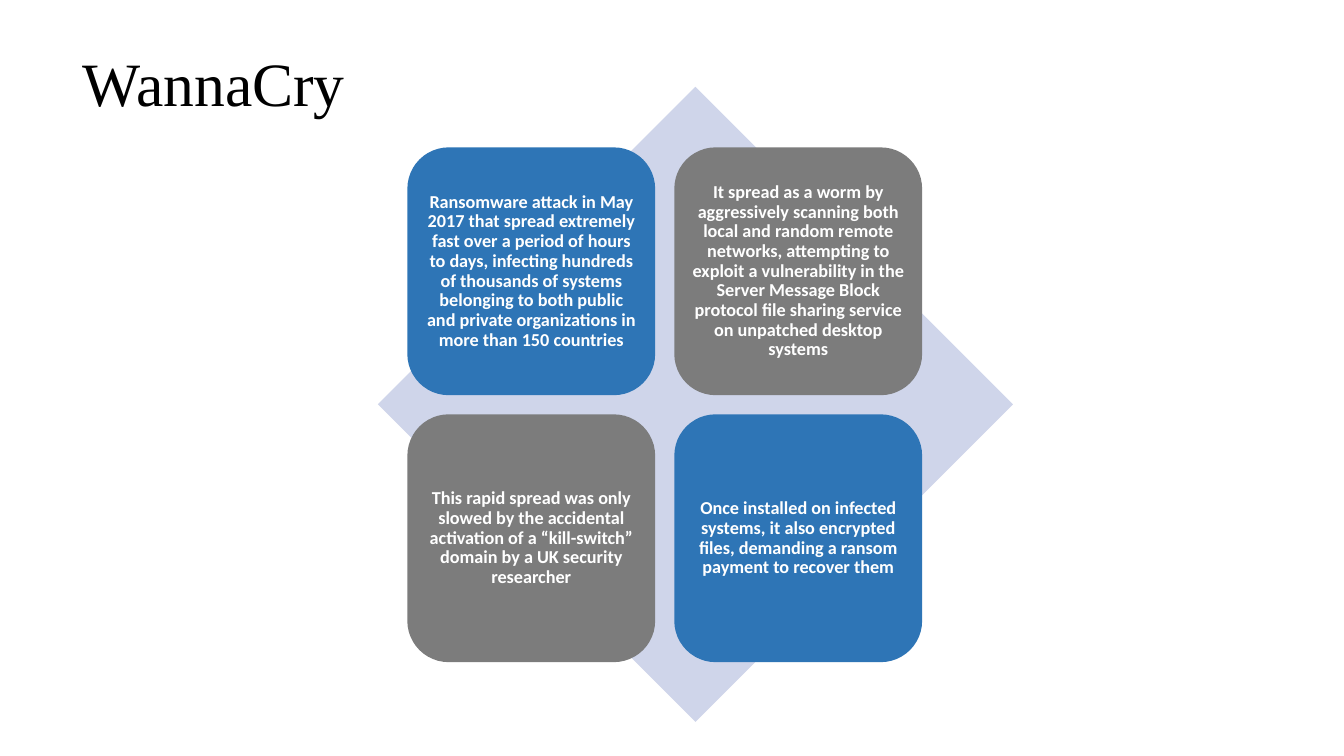
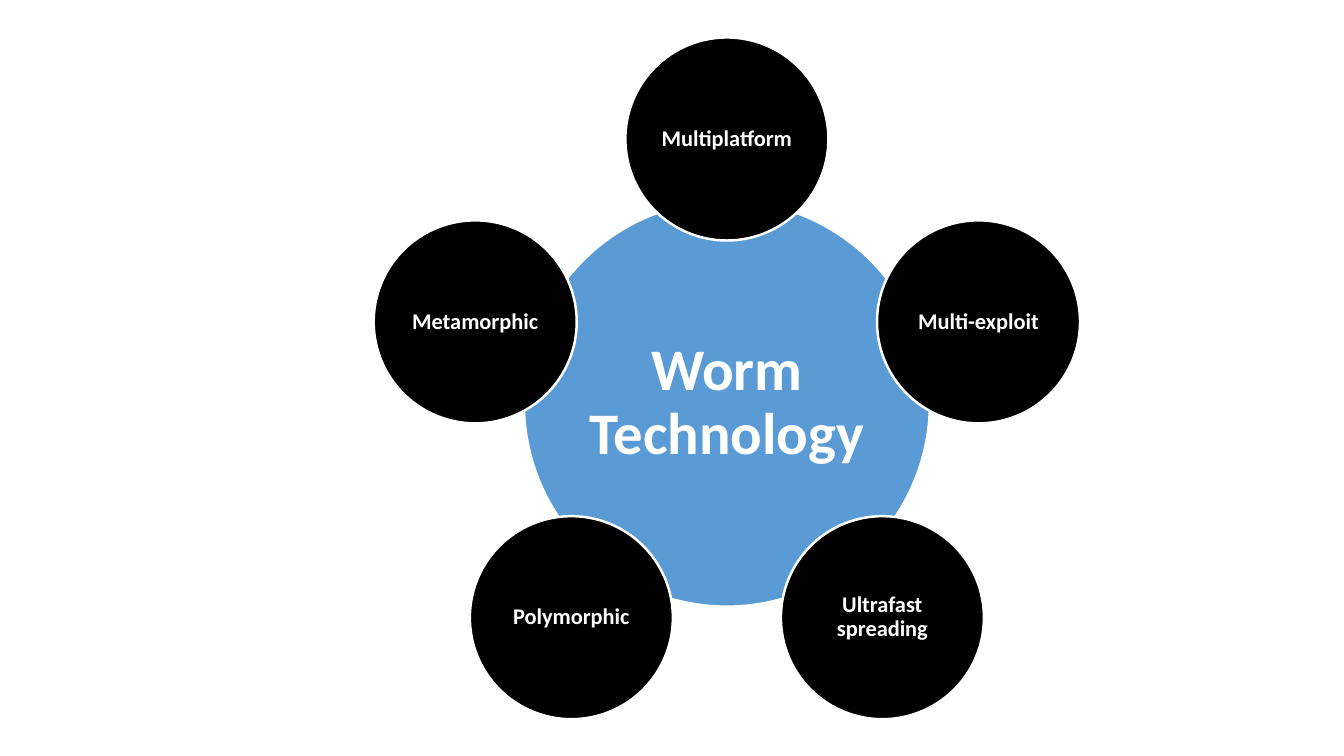
"""Build two slides: a four-tile matrix on a diamond and a hub with five satellites."""
import math

from pptx import Presentation
from pptx.dml.color import RGBColor
from pptx.enum import shapes, text
from pptx.util import Pt

WHITE = RGBColor(0xFF, 0xFF, 0xFF)
BLACK = RGBColor(0x00, 0x00, 0x00)
LAVENDER = RGBColor(0xCF, 0xD5, 0xEA)
DEEP_BLUE = RGBColor(0x2E, 0x75, 0xB6)
GRAY = RGBColor(0x7C, 0x7C, 0x7C)
SKY_BLUE = RGBColor(0x5B, 0x9B, 0xD5)

TITLE_FONT, BODY_FONT = "Times New Roman", "Calibri"
LINE_SPACING = 0.9
TITLE_ONLY, BLANK = 5, 6

TITLE = "WannaCry"
TILES = [
    ("Ransomware attack in May 2017 that spread extremely fast over a period of "
     "hours to days, infecting hundreds of thousands of systems belonging to both "
     "public and private organizations in more than 150 countries", DEEP_BLUE),
    ("It spread as a worm by aggressively scanning both local and random remote "
     "networks, attempting to exploit a vulnerability in the Server Message Block "
     "protocol file sharing service on unpatched desktop systems", GRAY),
    ("This rapid spread was only slowed by the accidental activation of a "
     "“kill-switch” domain by a UK security researcher", GRAY),
    ("Once installed on infected systems, it also encrypted files, demanding a "
     "ransom payment to recover them", DEEP_BLUE),
]
HUB = "Worm Technology"
SATELLITES = ["Multiplatform", "Multi-exploit", "Ultrafast spreading",
              "Polymorphic", "Metamorphic"]

DIAMOND_LEFT, DIAMOND_TOP, DIAMOND_SIZE = 270, 62, 453.6
TILE_LEFT, TILE_TOP, TILE_SIZE, TILE_GAP = 291, 105.3, 177, 13.7
HUB_X, HUB_Y, HUB_SIZE = 519.2, 288.3, 290
SATELLITE_SIZE, ORBIT = 145, 189


def add_run(paragraph, content, font_name, size, color, bold=False):
    """Append one formatted run."""
    paragraph.line_spacing = LINE_SPACING
    run = paragraph.add_run()
    run.text = content
    run.font.name = font_name
    run.font.size = Pt(size)
    run.font.bold = bold
    run.font.color.rgb = color


def add_title(slide, content):
    """Fill and place the title placeholder."""
    title = slide.shapes.title
    title.left, title.top, title.width, title.height = Pt(52), Pt(19.5), Pt(720), Pt(85)
    frame = title.text_frame
    frame.auto_size = text.MSO_AUTO_SIZE.NONE
    frame.vertical_anchor = text.MSO_ANCHOR.MIDDLE
    paragraph = frame.paragraphs[0]
    paragraph.alignment = text.PP_ALIGN.LEFT
    add_run(paragraph, content, TITLE_FONT, 44, BLACK)


def add_figure(slide, kind, left, top, side, fill, outline=None):
    """Add a flat square-bounded shape, with an optional outline."""
    shape = slide.shapes.add_shape(kind, Pt(left), Pt(top), Pt(side), Pt(side))
    shape.shadow.inherit = False
    shape.fill.solid()
    shape.fill.fore_color.rgb = fill
    if outline is None:
        shape.line.fill.background()
    else:
        shape.line.color.rgb = outline
        shape.line.width = Pt(1.75)
    return shape


def add_label(shape, content, size, inset):
    """Write bold white centred text inside a shape."""
    frame = shape.text_frame
    frame.word_wrap = True
    frame.vertical_anchor = text.MSO_ANCHOR.MIDDLE
    frame.margin_left = frame.margin_right = Pt(inset)
    frame.margin_top = frame.margin_bottom = Pt(inset)
    paragraph = frame.paragraphs[0]
    paragraph.alignment = text.PP_ALIGN.CENTER
    add_run(paragraph, content, BODY_FONT, size, WHITE, bold=True)


def add_circle(slide, center_x, center_y, side, fill, content, size, inset):
    """Add a labelled circle around a centre point."""
    circle = add_figure(slide, shapes.MSO_SHAPE.OVAL, center_x - side / 2,
                        center_y - side / 2, side, fill, WHITE)
    add_label(circle, content, size, inset)


def build_matrix(presentation):
    """Build the slide with four tiles over a diamond."""
    slide = presentation.slides.add_slide(presentation.slide_layouts[TITLE_ONLY])
    add_title(slide, TITLE)
    add_figure(slide, shapes.MSO_SHAPE.DIAMOND, DIAMOND_LEFT, DIAMOND_TOP,
               DIAMOND_SIZE, LAVENDER)
    pitch = TILE_SIZE + TILE_GAP
    for index, (content, fill) in enumerate(TILES):
        row, column = divmod(index, 2)
        tile = add_figure(slide, shapes.MSO_SHAPE.ROUNDED_RECTANGLE,
                          TILE_LEFT + column * pitch, TILE_TOP + row * pitch,
                          TILE_SIZE, fill)
        add_label(tile, content, 13, 3.6)


def build_hub(presentation):
    """Build the slide with satellites spaced evenly around a hub."""
    slide = presentation.slides.add_slide(presentation.slide_layouts[BLANK])
    add_circle(slide, HUB_X, HUB_Y, HUB_SIZE, SKY_BLUE, HUB, 42, 4.2)
    for index, content in enumerate(SATELLITES):
        angle = 2 * math.pi * index / len(SATELLITES)
        add_circle(slide, HUB_X + ORBIT * math.sin(angle),
                   HUB_Y - ORBIT * math.cos(angle),
                   SATELLITE_SIZE, BLACK, content, 16, 1.6)


def main():
    """Create and save the presentation."""
    presentation = Presentation()
    presentation.slide_width, presentation.slide_height = Pt(960), Pt(540)
    build_matrix(presentation)
    build_hub(presentation)
    presentation.save("out.pptx")


if __name__ == "__main__":
    main()
